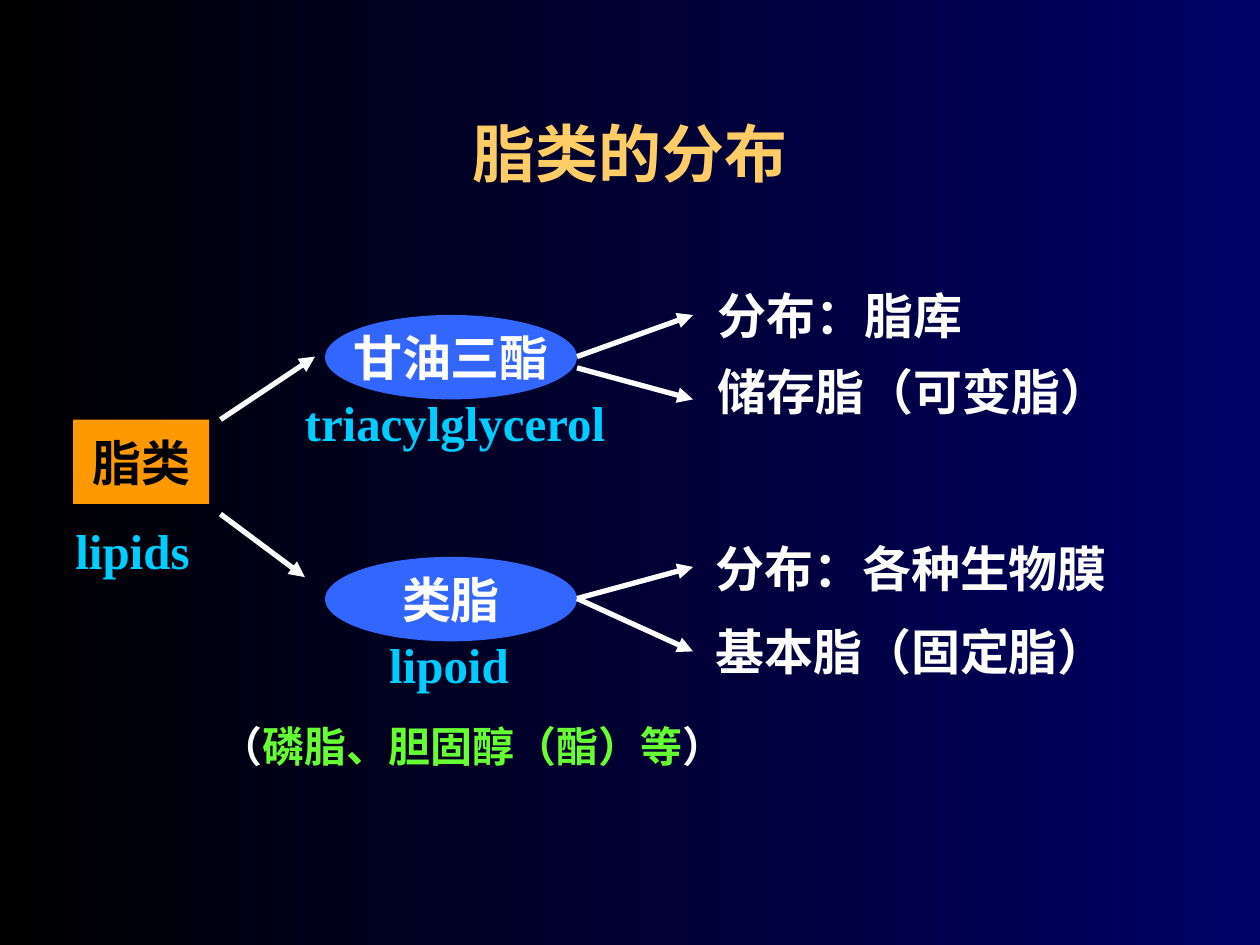
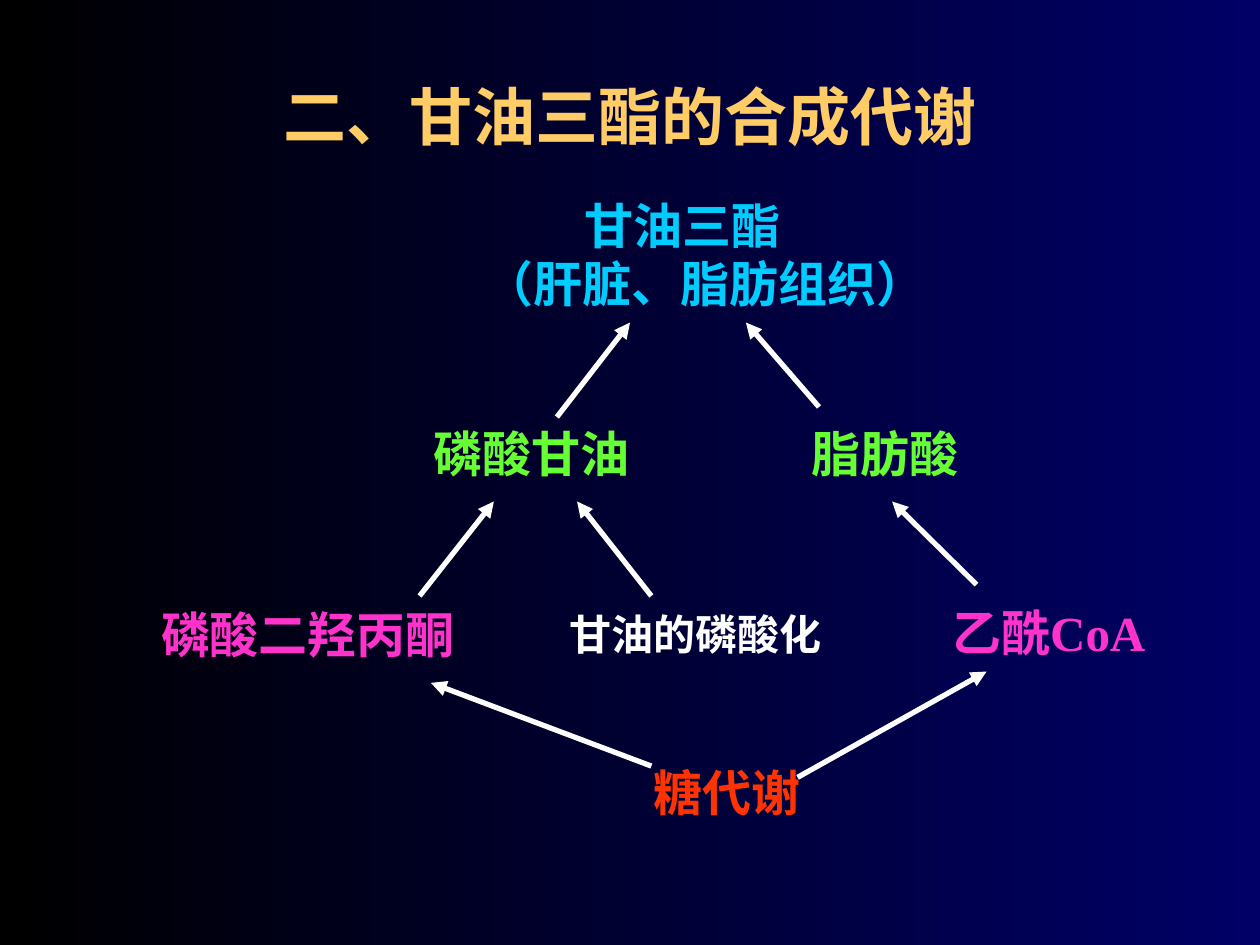
"""Build two slides on where lipids are found and how triacylglycerol is made."""
from dataclasses import dataclass
from typing import NamedTuple

from lxml.etree import SubElement
from pptx import Presentation
from pptx.dml.color import RGBColor
from pptx.enum.shapes import MSO_CONNECTOR, MSO_SHAPE as SHAPE
from pptx.enum.text import MSO_ANCHOR as ANCHOR, MSO_AUTO_SIZE as AUTO, PP_ALIGN as ALIGN
from pptx.oxml.ns import qn
from pptx.slide import Slide
from pptx.text.text import TextFrame
from pptx.util import Inches, Pt

BLACK = RGBColor(0x00, 0x00, 0x00)
NAVY = RGBColor(0x00, 0x00, 0x66)
WHITE = RGBColor(0xFF, 0xFF, 0xFF)
GOLD = RGBColor(0xFF, 0xCC, 0x66)
ORANGE = RGBColor(0xFF, 0x99, 0x00)
BLUE = RGBColor(0x33, 0x66, 0xFF)
CYAN = RGBColor(0x00, 0xCC, 0xFF)
GREEN = RGBColor(0x66, 0xFF, 0x33)
PINK = RGBColor(0xFF, 0x33, 0xCC)
RED = RGBColor(0xFF, 0x33, 0x00)
FONT = "Times New Roman"


class Box(NamedTuple):
    """Left, top, width and height in inches."""
    left: float
    top: float
    width: float
    height: float


class Arrow(NamedTuple):
    """Start and tip of an arrow in inches."""
    x1: float
    y1: float
    x2: float
    y2: float


@dataclass(frozen=True)
class Line:
    """One paragraph, with its line spacing and left indent in inches."""
    text: str
    spacing: float = 1.0
    indent: float = 0.0


@dataclass(frozen=True)
class Label:
    """Free text on the slide, with white brackets round it if asked."""
    box: Box
    lines: tuple[Line, ...]
    color: RGBColor
    size: int = 28
    bracketed: bool = False


@dataclass(frozen=True)
class Node:
    """A filled shape with centred text."""
    box: Box
    text: str
    shape: SHAPE
    fill: RGBColor
    color: RGBColor


DISTRIBUTION_NODES = (
    Node(Box(0.58, 3.33, 1.08, 0.67), "脂类", SHAPE.RECTANGLE, ORANGE, BLACK),
    Node(Box(2.58, 2.5, 2, 0.67), "甘油三酯", SHAPE.OVAL, BLUE, WHITE),
    Node(Box(2.58, 4.42, 2, 0.67), "类脂", SHAPE.OVAL, BLUE, WHITE),
)
DISTRIBUTION_LABELS = (
    Label(Box(5.6, 2.17, 3.4, 1.22),
          (Line("分布：脂库", 1.1), Line("储存脂（可变脂）", 1.3)), WHITE),
    Label(Box(5.58, 4.18, 3.4, 1.27),
          (Line("分布：各种生物膜", 1.1), Line("基本脂（固定脂）", 1.4)), WHITE),
    Label(Box(0.5, 4.08, 1.2, 0.57), (Line("lipids"),), CYAN),
    Label(Box(2.32, 3.07, 2.69, 0.57), (Line("triacylglycerol"),), CYAN),
    Label(Box(2.99, 4.99, 1.25, 0.57), (Line("lipoid"),), CYAN),
    Label(Box(1.65, 5.67, 4.3, 0.5), (Line("磷脂、胆固醇（酯）等"),), GREEN, 24, True),
)
DISTRIBUTION_ARROWS = (
    Arrow(1.75, 3.33, 2.5, 2.83),
    Arrow(1.75, 4.08, 2.42, 4.58),
    Arrow(4.58, 2.83, 5.5, 2.5),
    Arrow(4.58, 2.92, 5.5, 3.17),
    Arrow(4.58, 4.75, 5.5, 4.5),
    Arrow(4.58, 4.75, 5.5, 5.17),
)
SYNTHESIS_LABELS = (
    Label(Box(3.75, 1.5, 3.8, 1.04),
          (Line("甘油三酯", indent=0.79), Line("（肝脏、脂肪组织）")), CYAN),
    Label(Box(3.34, 3.31, 1.85, 0.57), (Line("磷酸甘油"),), GREEN),
    Label(Box(6.34, 3.31, 1.46, 0.57), (Line("脂肪酸"),), GREEN),
    Label(Box(1.18, 4.75, 2.63, 0.57), (Line("磷酸二羟丙酮"),), PINK),
    Label(Box(4.42, 4.78, 2.3, 0.5), (Line("甘油的磷酸化"),), WHITE, 24),
    Label(Box(7.46, 4.73, 2, 0.57), (Line("乙酰CoA"),), PINK),
    Label(Box(5.09, 6, 1.46, 0.57), (Line("糖代谢"),), RED),
)
SYNTHESIS_ARROWS = (
    Arrow(4.42, 3.31, 5, 2.56),
    Arrow(6.5, 3.23, 5.92, 2.56),
    Arrow(3.33, 4.73, 3.92, 3.98),
    Arrow(5.17, 4.73, 4.58, 3.98),
    Arrow(7.75, 4.64, 7.08, 3.98),
    Arrow(5.17, 6.08, 3.42, 5.42),
    Arrow(6.33, 6.17, 7.83, 5.33),
)


def emu(box: NamedTuple) -> list[Inches]:
    """Turn a tuple of inches into lengths."""
    return [Inches(v) for v in box]


def style_font(font, size: int, color: RGBColor | None = None) -> None:
    """Set the shared bold face with a size and, if given, a colour."""
    font.name, font.size, font.bold = FONT, Pt(size), True
    if color is not None:
        font.color.rgb = color


def set_centred(tf: TextFrame, text: str, size: int, color: RGBColor) -> None:
    """Write one centred paragraph in the middle of a frame."""
    tf.vertical_anchor = ANCHOR.MIDDLE
    p = tf.paragraphs[0]
    p.text = text
    p.alignment = ALIGN.CENTER
    style_font(p.font, size, color)


def add_base(prs: Presentation, title: str, box: Box) -> Slide:
    """Add a blank slide with the gradient background and a title."""
    s = prs.slides.add_slide(prs.slide_layouts[6])
    fill = s.background.fill
    fill.gradient()
    fill.gradient_angle = 0
    for stop, color, position in zip(fill.gradient_stops, (BLACK, NAVY), (0, 1)):
        stop.color.rgb, stop.position = color, position
    tf = s.shapes.add_textbox(*emu(box)).text_frame
    tf.word_wrap = True
    set_centred(tf, title, 36, GOLD)
    return s


def add_node(s: Slide, node: Node) -> None:
    """Draw a filled shape with its text."""
    sp = s.shapes.add_shape(node.shape, *emu(node.box))
    sp.shadow.inherit = False
    sp.fill.solid()
    sp.fill.fore_color.rgb = node.fill
    sp.line.fill.background()
    sp.text_frame.word_wrap = False
    set_centred(sp.text_frame, node.text, 28, node.color)


def add_label(s: Slide, label: Label) -> None:
    """Draw a text box wide enough for its lines."""
    tf = s.shapes.add_textbox(*emu(label.box)).text_frame
    tf.word_wrap = True
    tf.auto_size = AUTO.SHAPE_TO_FIT_TEXT
    for i, line in enumerate(label.lines):
        p = tf.add_paragraph() if i else tf.paragraphs[0]
        if line.spacing != 1:
            p.line_spacing = line.spacing
        if line.indent:
            p._p.get_or_add_pPr().set("marL", str(Inches(line.indent)))
        if label.bracketed:
            style_font(p.font, label.size)
            for text, color in (("（", WHITE), (line.text, label.color), ("）", WHITE)):
                r = p.add_run()
                r.text = text
                r.font.color.rgb = color
        else:
            p.text = line.text
            style_font(p.font, label.size, label.color)


def add_arrow(s: Slide, arrow: Arrow) -> None:
    """Draw a white arrow with a triangular tip."""
    c = s.shapes.add_connector(MSO_CONNECTOR.STRAIGHT, *emu(arrow))
    c.line.color.rgb = WHITE
    c.line.width = Pt(3)
    SubElement(c.line._get_or_add_ln(), qn("a:tailEnd"), type="triangle")
    SubElement(c._element.spPr, qn("a:effectLst"))


def add_diagram(s: Slide, nodes: tuple[Node, ...], labels: tuple[Label, ...],
                arrows: tuple[Arrow, ...]) -> None:
    """Draw all the parts of one diagram."""
    for node in nodes:
        add_node(s, node)
    for label in labels:
        add_label(s, label)
    for arrow in arrows:
        add_arrow(s, arrow)


def main() -> None:
    """Build and save the presentation."""
    prs = Presentation()
    prs.slide_width, prs.slide_height = Inches(10), Inches(7.5)
    s = add_base(prs, "脂类的分布", Box(0.75, 0.58, 8.5, 1.25))
    add_diagram(s, DISTRIBUTION_NODES, DISTRIBUTION_LABELS, DISTRIBUTION_ARROWS)
    s = add_base(prs, "二、甘油三酯的合成代谢", Box(0.75, 0.5, 8.5, 0.83))
    add_diagram(s, (), SYNTHESIS_LABELS, SYNTHESIS_ARROWS)
    prs.save("out.pptx")


if __name__ == "__main__":
    main()
